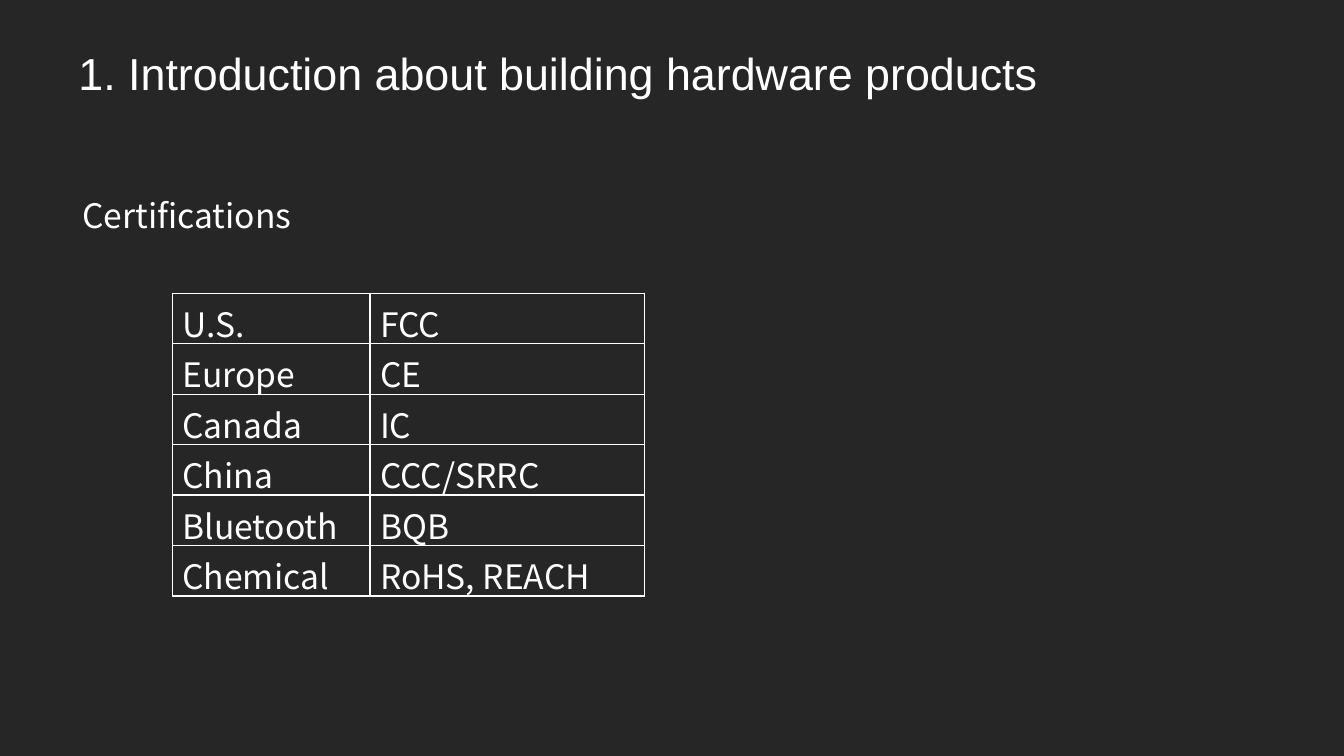
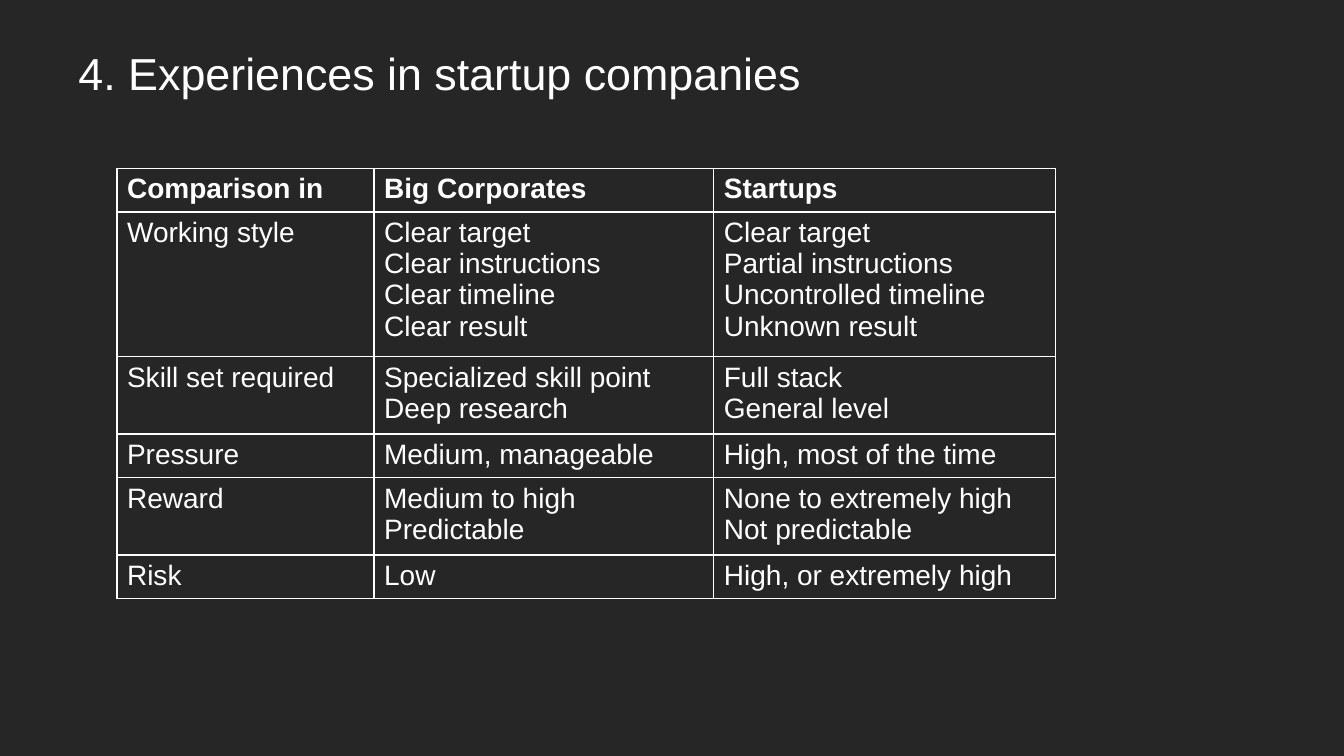
from lxml import etree
from pptx import Presentation
from pptx.dml.color import RGBColor
from pptx.oxml.ns import qn
from pptx.util import Inches, Pt

COLORS = {"background": "262626", "white": "FFFFFF"}
SANS, CJK = "Arial", "Noto Sans CJK SC"
CELL_PADDING = 0.1  # top and bottom margins together, in inches

CERTIFICATIONS = [
    ["U.S.", "FCC"],
    ["Europe", "CE"],
    ["Canada", "IC"],
    ["China", "CCC/SRRC"],
    ["Bluetooth", "BQB"],
    ["Chemical", "RoHS, REACH"],
]
COMPARISON = [
    ["Comparison in", "Big Corporates", "Startups"],
    ["Working style",
     "Clear target\nClear instructions\nClear timeline\nClear result",
     "Clear target\nPartial instructions\nUncontrolled timeline\nUnknown result"],
    ["Skill set required",
     "Specialized skill point\nDeep research",
     "Full stack\nGeneral level"],
    ["Pressure", "Medium, manageable", "High, most of the time"],
    ["Reward",
     "Medium to high\nPredictable",
     "None to extremely high\nNot predictable"],
    ["Risk", "Low", "High, or extremely high"],
]


# Text
def write(tf, text, font, size, bold=False):
    tf.text = text
    style = {"name": font, "size": Pt(size), "bold": bold}
    for p in tf.paragraphs:
        for r in p.runs:
            for key, value in style.items():
                setattr(r.font, key, value)
            r.font.color.rgb = RGBColor.from_string(COLORS["white"])
            if font == CJK:
                etree.SubElement(r.font._element, qn("a:ea"), typeface=font)


def add_text(s, box, text, font, size, wrap=True):
    tf = s.shapes.add_textbox(*map(Inches, box)).text_frame
    tf.word_wrap = wrap
    write(tf, text, font, size)


# Tables
def outline(cell):
    tcPr = cell._tc.get_or_add_tcPr()
    for i, side in enumerate(("lnL", "lnR", "lnT", "lnB")):
        ln = etree.Element(qn(f"a:{side}"), w=str(Pt(1)))
        fill = etree.SubElement(ln, qn("a:solidFill"))
        etree.SubElement(fill, qn("a:srgbClr"), val=COLORS["white"])
        tcPr.insert(i, ln)


def add_grid(s, left, top, widths, rows, font, size, header=False):
    # Each row is as tall as its longest cell at 1.2 line spacing
    heights = [max(t.count("\n") + 1 for t in row) * size * 1.2 / 72 + CELL_PADDING
               for row in rows]
    frame = s.shapes.add_table(len(rows), len(widths), Inches(left), Inches(top),
                               Inches(sum(widths)), Inches(sum(heights)))
    table = frame.table
    table.first_row, table.horz_banding = header, False
    for column, width in zip(table.columns, widths):
        column.width = Inches(width)
    for i, (row, height) in enumerate(zip(rows, heights)):
        table.rows[i].height = Inches(height)
        for j, text in enumerate(row):
            cell = table.cell(i, j)
            cell.fill.background()
            outline(cell)
            write(cell.text_frame, text, font, size, bold=header and i == 0)


# Shared slide style
def add_slide(prs, title):
    s = prs.slides.add_slide(prs.slide_layouts[6])
    add_text(s, (0.68, 0.4, 11.51, 0.64), title, SANS, 32)
    return s


def main():
    prs = Presentation()
    prs.slide_width, prs.slide_height = Inches(13.33), Inches(7.5)
    fill = prs.slide_master.background.fill
    fill.solid()
    fill.fore_color.rgb = RGBColor.from_string(COLORS["background"])

    # Certifications
    s = add_slide(prs, "1. Introduction about building hardware products")
    add_text(s, (0.72, 1.88, 2.32, 0.5), "Certifications", CJK, 24, wrap=False)
    add_grid(s, 1.71, 2.91, [1.96, 2.72], CERTIFICATIONS, CJK, 24)

    # Corporates and startups
    s = add_slide(prs, "4. Experiences in startup companies")
    add_grid(s, 1.16, 1.67, [2.55, 3.37, 3.39], COMPARISON, SANS, 20, header=True)

    prs.save("out.pptx")


if __name__ == "__main__":
    main()
